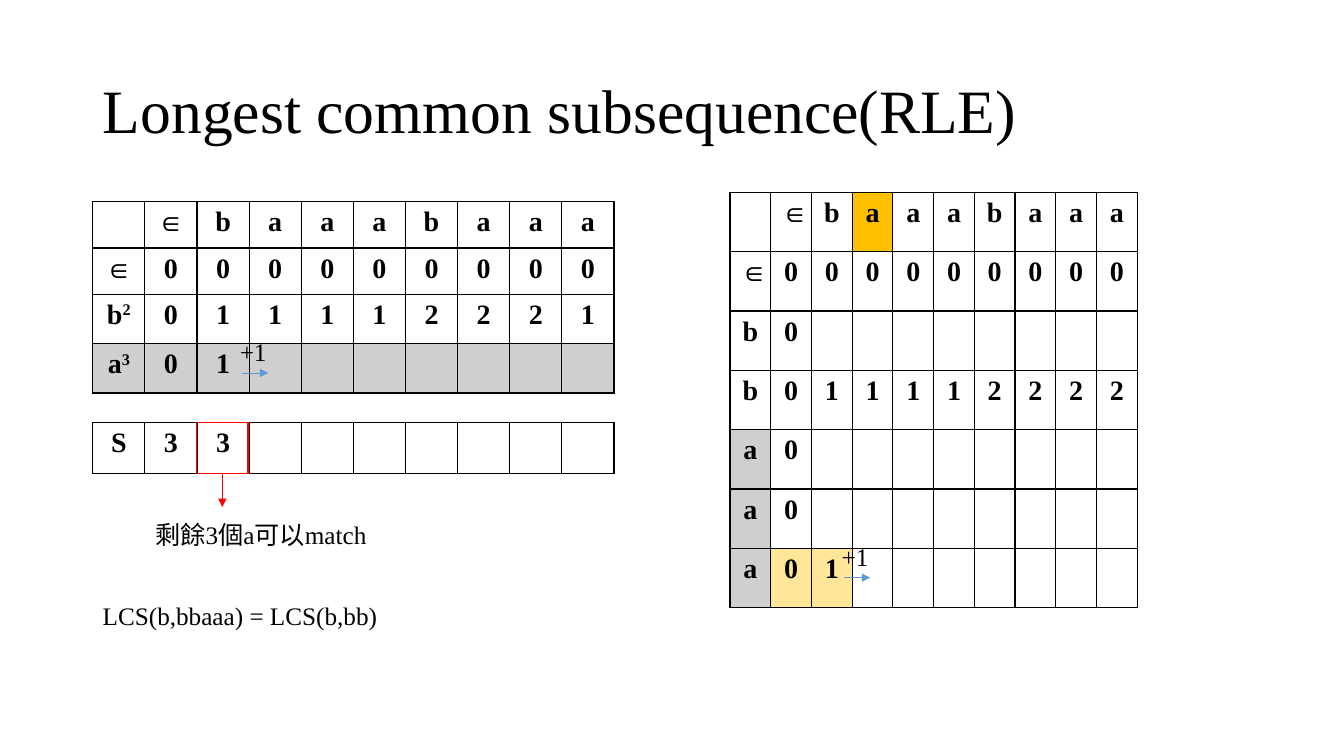
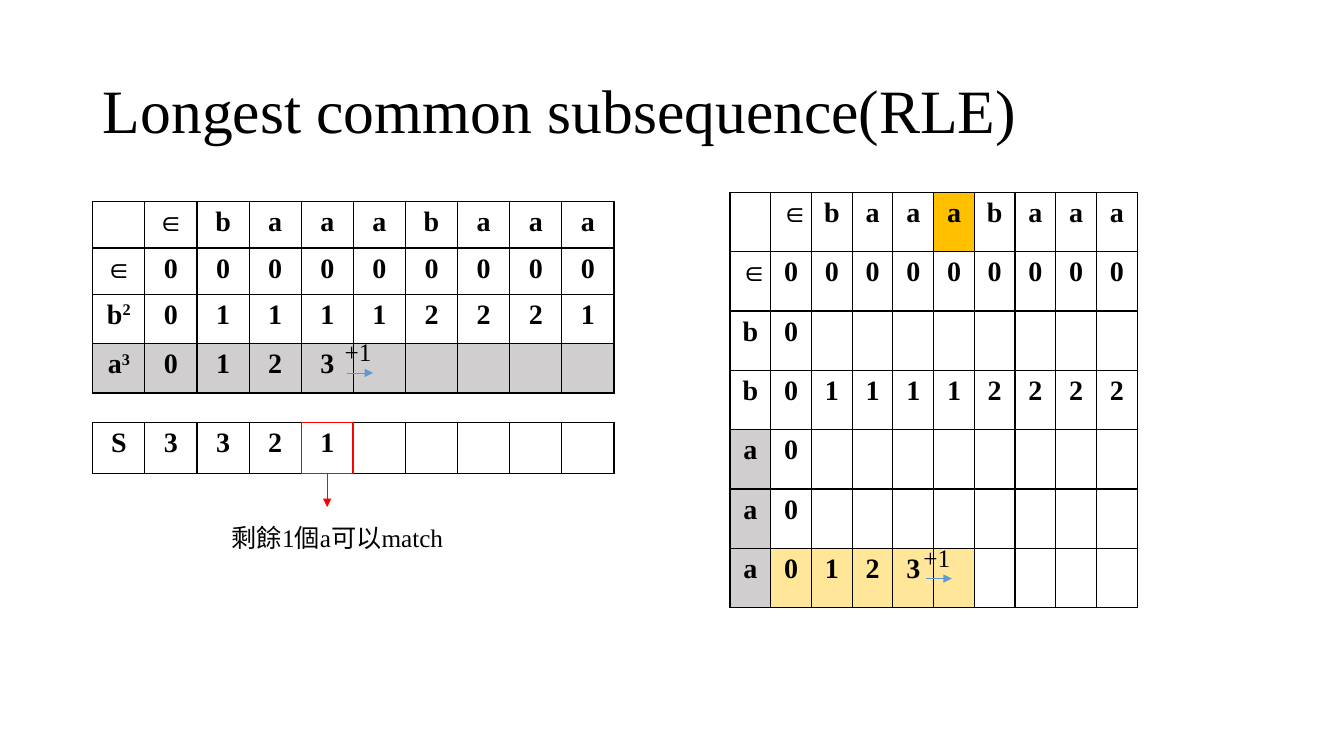
"""Build two slides that step through a run-length encoded LCS table."""
from dataclasses import dataclass
from typing import Optional

from lxml.etree import SubElement
from pptx import Presentation
from pptx.dml.color import RGBColor
from pptx.enum.shapes import MSO_CONNECTOR, MSO_SHAPE
from pptx.enum.text import MSO_ANCHOR, MSO_AUTO_SIZE, PP_ALIGN
from pptx.oxml.ns import qn
from pptx.shapes.autoshape import Shape
from pptx.shapes.connector import Connector
from pptx.slide import Slide
from pptx.table import _Cell as Cell
from pptx.text.text import TextFrame
from pptx.util import Emu, Pt

BLACK = RGBColor(0x00, 0x00, 0x00)
GRAY = RGBColor(0xD0, 0xCE, 0xCE)
ORANGE = RGBColor(0xFF, 0xC0, 0x00)
CREAM = RGBColor(0xFF, 0xE6, 0x99)
RED = RGBColor(0xFF, 0x00, 0x00)
BLUE = RGBColor(0x5B, 0x9B, 0xD5)

FONT = "Times New Roman"
TITLE = "Longest common subsequence(RLE)"
EMU_PER_PX = 9144
COLUMNS = 10
LETTERS = "_ ∈ b a a a b a a a"
ZEROS = "∈ 0 0 0 0 0 0 0 0 0"

Fills = dict[tuple[int, int], RGBColor]


@dataclass(frozen=True)
class Grid:
    """Place of a ten-column table, in px."""
    left: int
    top: int
    width: int
    height: int
    row_heights: tuple[float, ...]

    def column_left(self, column: int) -> int:
        return self.left + round(self.width * column / COLUMNS)


@dataclass(frozen=True)
class Step:
    """One state of the computation."""
    matched: str
    remaining: str
    last_cream: int
    caption: str
    caption_left: int
    caption_top: int
    plus_top: int
    note: Optional[str] = None

    @property
    def column(self) -> int:
        return len(self.matched.split())


RUN_GRID = Grid(92, 200, 517, 190, (46, 46, 49, 49))
REST_GRID = Grid(92, 419, 517, 51, (51,))
FULL_GRID = Grid(724, 191, 404, 412, (412 / 7,) * 7)

STEPS = (
    Step("0 1", "3 3", 2, "剩餘3個a可以match", 144, 510, 532,
         "LCS(b,bbaaa) = LCS(b,bb)"),
    Step("0 1 2 3", "3 3 2 1", 5, "剩餘1個a可以match", 220, 513, 533),
)


def px(length: float) -> Emu:
    """Turn px into EMU."""
    return Emu(round(length * EMU_PER_PX))


def format_text(frame: TextFrame, size: int, bold: Optional[bool] = None) -> None:
    """Give every run the shared font."""
    for para in frame.paragraphs:
        for span in para.runs:
            span.font.name = FONT
            span.font.size = Pt(size)
            span.font.bold = bold
            span.font.color.rgb = BLACK


def add_title(page: Slide) -> None:
    """Fill and place the title placeholder."""
    title = page.shapes.title
    title.left, title.top, title.width, title.height = map(px, (92, 40, 1150, 145))
    frame = title.text_frame
    frame.text = TITLE
    frame.word_wrap = True
    frame.vertical_anchor = MSO_ANCHOR.MIDDLE
    frame.paragraphs[0].alignment = PP_ALIGN.LEFT
    frame.paragraphs[0].line_spacing = 0.9
    format_text(frame, 44)


def add_label(page: Slide, text: str, left: int, top: int, width: int) -> None:
    """Draw a line of plain text."""
    box = page.shapes.add_textbox(px(left), px(top), px(width), px(40))
    frame = box.text_frame
    frame.word_wrap = True
    frame.auto_size = MSO_AUTO_SIZE.SHAPE_TO_FIT_TEXT
    frame.text = text
    format_text(frame, 18)


def add_borders(cell: Cell) -> None:
    """Draw a thin black line on all four sides."""
    properties = cell._tc.get_or_add_tcPr()
    for side in ("lnL", "lnR", "lnT", "lnB"):
        line = SubElement(properties, qn(f"a:{side}"), w=str(Pt(1)))
        fill = SubElement(line, qn("a:solidFill"))
        SubElement(fill, qn("a:srgbClr"), val=str(BLACK))


def fill_cell(cell: Cell, entry: str, color: Optional[RGBColor]) -> None:
    """Write a symbol, with its run length raised, and colour the cell."""
    add_borders(cell)
    if color is None:
        cell.fill.background()
    else:
        cell.fill.solid()
        cell.fill.fore_color.rgb = color
    if entry == "_":
        return
    para = cell.text_frame.paragraphs[0]
    para.text = entry[0]
    para.alignment = PP_ALIGN.CENTER
    if entry[1:]:
        power = para.add_run()
        power.text = entry[1:]
        power._r.get_or_add_rPr().set("baseline", "30000")
    format_text(cell.text_frame, 20, True)


def add_grid(page: Slide, grid: Grid, rows: tuple[str, ...], fills: Fills) -> None:
    """Draw a table; short rows end in empty cells."""
    frame = page.shapes.add_table(len(rows), COLUMNS, px(grid.left), px(grid.top),
                                  px(grid.width), px(grid.height))
    table = frame.table
    table.first_row = table.horz_banding = False
    for column in table.columns:
        column.width = px(grid.width / COLUMNS)
    for row_index, text in enumerate(rows):
        table.rows[row_index].height = px(grid.row_heights[row_index])
        entries = text.split()
        entries += ["_"] * (COLUMNS - len(entries))
        for column_index, entry in enumerate(entries):
            fill_cell(table.cell(row_index, column_index), entry,
                      fills.get((row_index, column_index)))


def add_arrow(page: Slide, start: tuple[int, int], end: tuple[int, int],
              color: RGBColor) -> Connector:
    """Draw a thin line with a triangle at its end."""
    arrow = page.shapes.add_connector(MSO_CONNECTOR.STRAIGHT, *map(px, start + end))
    arrow.line.color.rgb = color
    arrow.line.width = Pt(0.5)
    SubElement(arrow.line._get_or_add_ln(), qn("a:tailEnd"), type="triangle")
    SubElement(arrow._element.spPr, qn("a:effectLst"))
    return arrow


def add_marker(page: Slide, column: int) -> Shape:
    """Frame one cell of the remaining-count row and point below it."""
    left, top = REST_GRID.column_left(column), REST_GRID.top
    size = REST_GRID.height
    marker = page.shapes.add_shape(MSO_SHAPE.RECTANGLE, px(left), px(top),
                                   px(size), px(size))
    marker.shadow.inherit = False
    marker.fill.background()
    marker.line.color.rgb = RED
    marker.line.width = Pt(1)
    middle = left + size / 2
    arrow = add_arrow(page, (middle, top + size), (middle, 503), RED)
    arrow.begin_connect(marker, 2)
    return marker


def add_plus(page: Slide, left: int, top: int) -> None:
    """Draw a +1 over a short blue arrow."""
    add_arrow(page, (left + 12, top + 41), (left + 38, top + 41), BLUE)
    add_label(page, "+1", left, top, 50)


def add_step(page: Slide, step: Step) -> None:
    """Draw one state with its tables and marks."""
    add_title(page)
    run_rows = (LETTERS, ZEROS, "b2 0 1 1 1 1 2 2 2 1", f"a3 {step.matched}")
    add_grid(page, RUN_GRID, run_rows, {(3, column): GRAY for column in range(COLUMNS)})
    add_grid(page, REST_GRID, (f"S {step.remaining}",), {})

    full_rows = (LETTERS, ZEROS, "b 0", "b 0 1 1 1 1 2 2 2 2", "a 0", "a 0",
                 f"a {step.matched}")
    fills: Fills = {(row, 0): GRAY for row in (4, 5, 6)}
    fills |= {(6, column): CREAM for column in range(1, step.last_cream + 1)}
    fills[0, step.column + 1] = ORANGE
    add_grid(page, FULL_GRID, full_rows, fills)

    add_marker(page, step.column)
    add_label(page, step.caption, step.caption_left, step.caption_top, 317)
    add_plus(page, RUN_GRID.column_left(step.column) + 33, 329)
    add_plus(page, FULL_GRID.column_left(step.column) + 20, step.plus_top)
    if step.note:
        add_label(page, step.note, 92, 591, 471)


def main() -> None:
    """Build and save the deck."""
    deck = Presentation()
    deck.slide_width, deck.slide_height = px(1333), px(750)
    for step in STEPS:
        add_step(deck.slides.add_slide(deck.slide_layouts[5]), step)
    deck.save("out.pptx")


if __name__ == "__main__":
    main()
